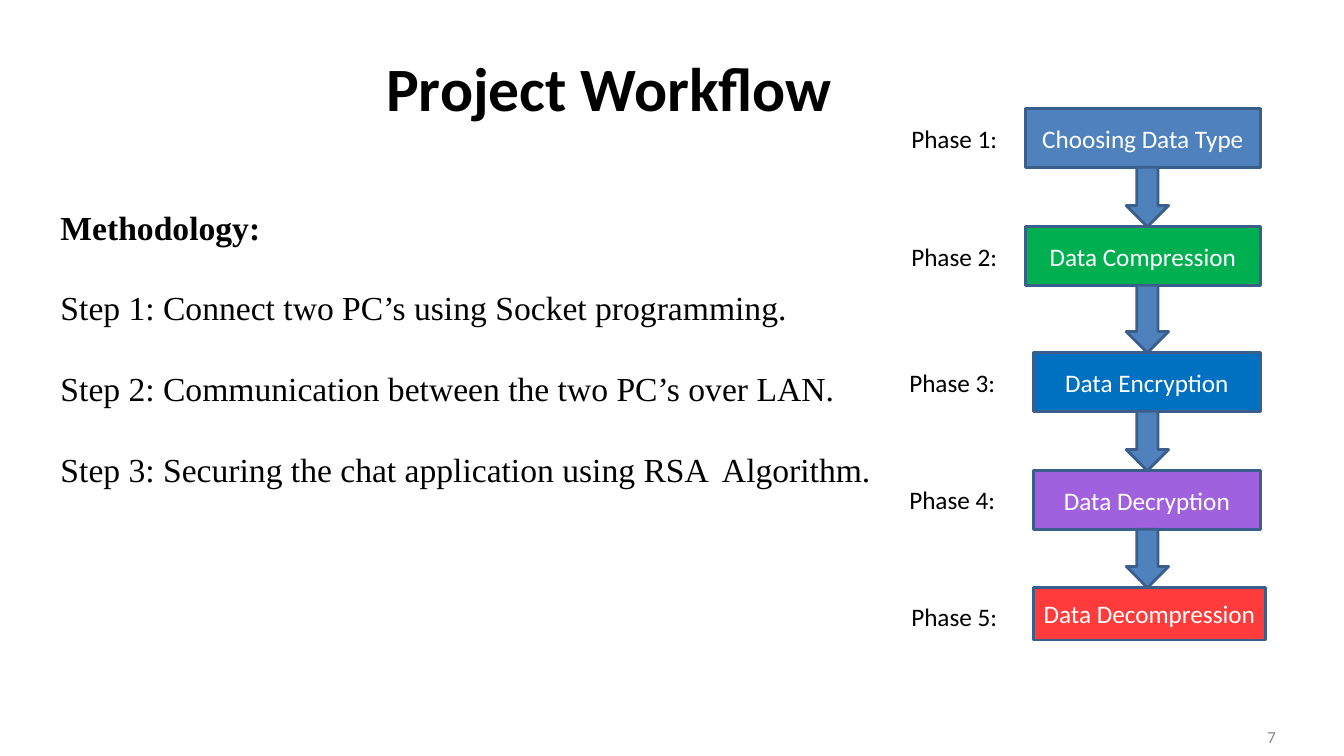
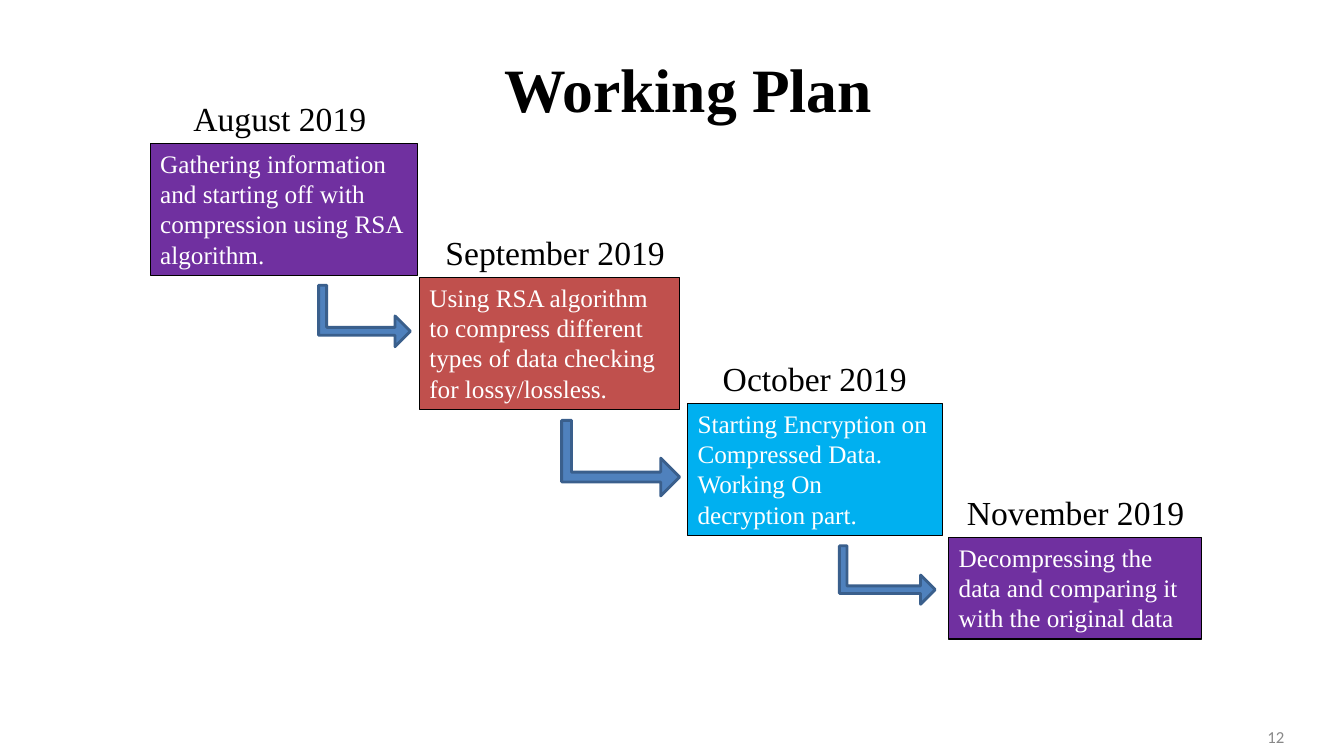
"""Build a project workflow slide and a working plan slide."""
import pptx
import pptx.dml.color
import pptx.enum.shapes
import pptx.enum.text
import pptx.oxml
import pptx.util

Inches = pptx.util.Inches
Pt = pptx.util.Pt
RGB = pptx.dml.color.RGBColor
SHAPE = pptx.enum.shapes.MSO_SHAPE
ALIGN = pptx.enum.text.PP_ALIGN
ANCHOR = pptx.enum.text.MSO_ANCHOR
FIT = pptx.enum.text.MSO_AUTO_SIZE

BLACK = RGB(0x00, 0x00, 0x00)
WHITE = RGB(0xFF, 0xFF, 0xFF)
GREY = RGB(0x88, 0x88, 0x88)
STEEL = RGB(0x4F, 0x81, 0xBD)
NAVY = RGB(0x3A, 0x5F, 0x8C)
GREEN = RGB(0x00, 0xB0, 0x50)
BLUE = RGB(0x00, 0x70, 0xC0)
VIOLET = RGB(0x9F, 0x61, 0xDD)
RED = RGB(0xFF, 0x3B, 0x3B)
PURPLE = RGB(0x70, 0x30, 0xA0)
BRICK = RGB(0xC0, 0x50, 0x4D)
SKY = RGB(0x00, 0xB0, 0xF0)

SANS = "Calibri"
SERIF = "Times New Roman"

STEPS = [
    "Step 1: Connect two PC’s using Socket programming.",
    "Step 2: Communication between the two PC’s over LAN.",
    "Step 3: Securing the chat application using RSA  Algorithm.",
]

# name, fill, label left, box left, top, width, height
PHASES = [
    ("Choosing Data Type", STEEL, 8.94, 10.17, 1.08, 2.33, 0.58),
    ("Data Compression", GREEN, 8.94, 10.17, 2.25, 2.33, 0.58),
    ("Data Encryption", BLUE, 8.92, 10.25, 3.5, 2.25, 0.58),
    ("Data Decryption", VIOLET, 8.92, 10.25, 4.67, 2.25, 0.58),
    ("Data Decompression", RED, 8.94, 10.25, 5.83, 2.3, 0.52),
]

MONTHS = [
    ("August 2019", 1.82, 1.93, PURPLE, (1.49, 1.42, 2.65, 1.31),
     "Gathering information and starting off with compression using RSA algorithm."),
    ("September 2019", 4.32, 2.4, BRICK, (4.16, 2.75, 2.58, 1.31),
     "Using RSA algorithm to compress different types of data checking for lossy/lossless."),
    ("October 2019", 7.07, 2.04, SKY, (6.82, 4, 2.53, 1.31),
     "Starting Encryption on Compressed Data. Working On decryption part."),
    ("November 2019", 9.49, 2.38, PURPLE, (9.41, 5.33, 2.51, 1.01),
     "Decompressing the data and comparing it with the original data"),
]

TURNS = [(3.31, 2.68, 0.61, 0.91), (5.78, 3.96, 0.75, 1.17), (8.51, 5.23, 0.58, 0.95)]


def place(item, spot):
    """Move and size a placeholder in inches."""
    item.left, item.top, item.width, item.height = map(Inches, spot)


def write(para, text, size, face, tint=BLACK, bold=False):
    """Add one formatted run to a paragraph."""
    run = para.add_run()
    run.text = text
    run.font.size = Pt(size)
    run.font.name = face
    run.font.bold = bold
    run.font.color.rgb = tint


def label(slide, spot, text, size, face, tint=BLACK):
    """Add a one-line text box and return its frame."""
    frame = slide.shapes.add_textbox(*map(Inches, spot)).text_frame
    frame.word_wrap = False
    write(frame.paragraphs[0], text, size, face, tint)
    return frame


def shape(slide, kind, spot, fill=STEEL, edge=NAVY, weight=2):
    """Add a filled and outlined preset shape."""
    item = slide.shapes.add_shape(kind, *map(Inches, spot))
    item.shadow.inherit = False
    item.fill.solid()
    item.fill.fore_color.rgb = fill
    item.line.color.rgb = edge
    item.line.width = Pt(weight)
    return item


def fill_box(item, text, face, align, anchor):
    """Write white text inside a box."""
    frame = item.text_frame
    frame.word_wrap = True
    frame.vertical_anchor = anchor
    para = frame.paragraphs[0]
    para.alignment = align
    write(para, text, 18, face, WHITE)


def start(deck, layout, title, face, spot, page):
    """Add a slide with its title and page number."""
    slide = deck.slides.add_slide(deck.slide_layouts[layout])
    head = slide.shapes.title
    place(head, spot)
    frame = head.text_frame
    frame.auto_size = FIT.NONE
    frame.vertical_anchor = ANCHOR.TOP
    frame.margin_left = frame.margin_right = frame.margin_bottom = 0
    frame.margin_top = Inches(0.01)
    para = frame.paragraphs[0]
    para.alignment = ALIGN.LEFT
    write(para, title, 44, face, bold=True)
    foot = label(slide, (12.54, 7.24, 0.23, 0.19), page, 12, SANS, GREY)
    foot.margin_left = Inches(0.03)
    foot.margin_right = foot.margin_top = foot.margin_bottom = 0
    foot.paragraphs[0].line_spacing = Pt(12.4)
    return slide


def method(slide):
    """Write the methodology list in the body placeholder."""
    body = slide.placeholders[1]
    place(body, (0.5, 2, 8.42, 3.33))
    frame = body.text_frame
    frame.auto_size = FIT.NONE
    for row, text in enumerate(["Methodology:"] + STEPS):
        para = frame.add_paragraph() if row else frame.paragraphs[0]
        para.line_spacing = 2.0 if row else 1.0
        para.space_before = Pt(0)
        props = para._p.get_or_add_pPr()
        props.set("marL", "0")
        props.set("indent", "0")
        props.append(pptx.oxml.parse_xml(
            '<a:buNone xmlns:a="http://schemas.openxmlformats.org/drawingml/2006/main"/>'))
        write(para, text, 24, SERIF, bold=row == 0)


def flow(slide):
    """Draw the phases and the arrows between them."""
    for num, (name, fill, side, left, top, width, height) in enumerate(PHASES, 1):
        label(slide, (side, top + 0.09, 1.06, 0.4), f"Phase {num}:", 18, SANS)
        item = shape(slide, SHAPE.RECTANGLE, (left, top, width, height), fill)
        fill_box(item, name, SANS, ALIGN.CENTER, ANCHOR.MIDDLE)
        if num < len(PHASES):
            base = top + height
            shape(slide, SHAPE.DOWN_ARROW, (11.17, base, 0.42, PHASES[num][4] - base))


def plan(slide):
    """Draw the monthly stair of boxes and its bent arrows."""
    for month, left, width, fill, spot, text in MONTHS:
        item = shape(slide, SHAPE.RECTANGLE, spot, fill, BLACK, 0.75)
        fill_box(item, text, SERIF, ALIGN.LEFT, ANCHOR.TOP)
        label(slide, (left, spot[1] - 0.5, width, 0.5), month, 24, SERIF)
    for spot in TURNS:
        item = shape(slide, SHAPE.BENT_UP_ARROW, spot)
        item.rotation = 90
        item.adjustments[0] = 0.13
        item.adjustments[1] = item.adjustments[2] = 0.25


def main():
    """Build and save the deck."""
    deck = pptx.Presentation()
    deck.slide_width, deck.slide_height = Inches(13.33), Inches(7.5)
    work = start(deck, 1, "Project Workflow", SANS, (3.83, 0.49, 4.67, 0.76), "7")
    method(work)
    flow(work)
    plan(start(deck, 5, "Working Plan", SERIF, (5, 0.5, 4.08, 0.76), "12"))
    deck.save("out.pptx")


if __name__ == "__main__":
    main()
